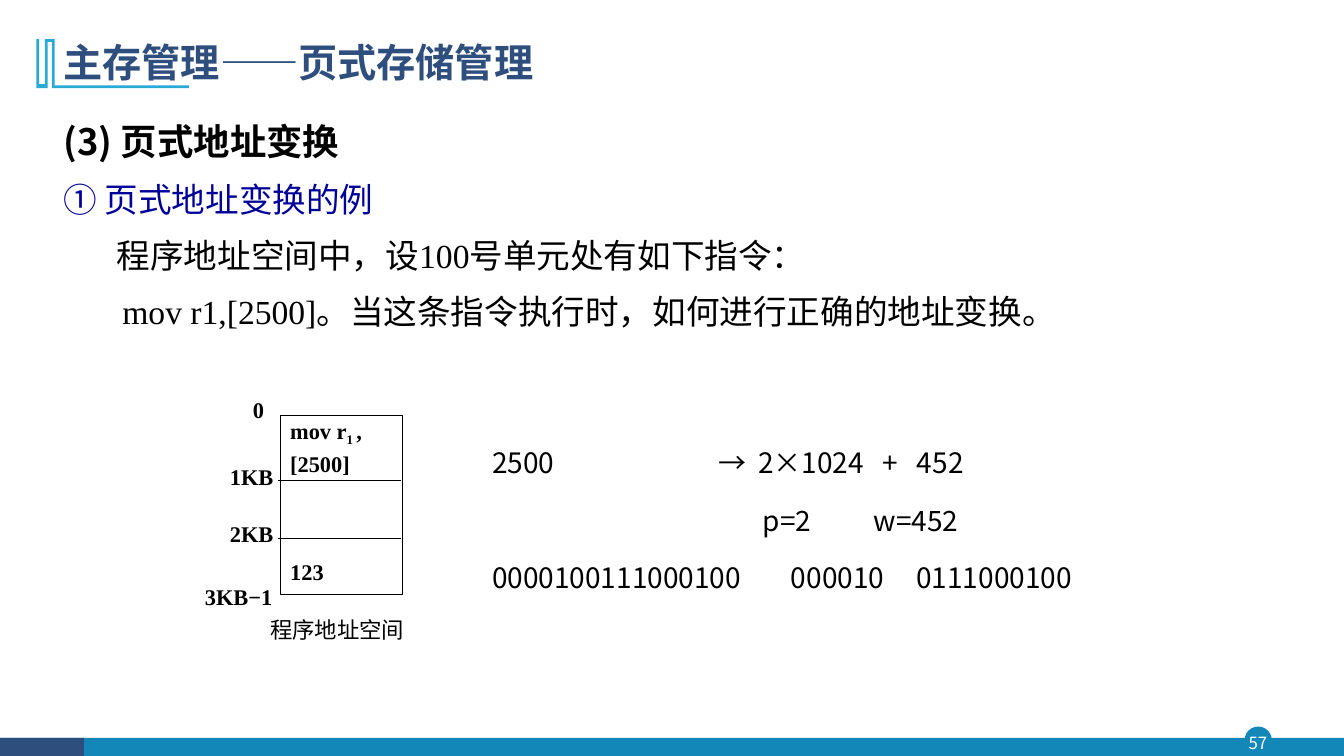
from lxml import etree
from pptx import Presentation
from pptx import util as u
from pptx.dml import color as dml
from pptx.enum import shapes, text
from pptx.oxml import ns

hues = {"sky": "28A9D6", "teal": "1387B7", "navy": "2E4E7E",
        "blue": "000099", "black": "000000", "white": "FFFFFF"}
sans, serif = "Noto Sans CJK SC", "Times New Roman"
pt = u.Pt


def paint(item, fill=None, line=None, width=0.75):
    item.shadow.inherit = False
    for part, hue in ((item.fill, fill), (item.line.fill, line)):
        if hue:
            part.solid()
            part.fore_color.rgb = dml.RGBColor.from_string(hues[hue])
        else:
            part.background()
    if line:
        item.line.width = pt(width)


def write(item, lines, size, pitch, face=serif, hue="black", bold=False):
    frame = item.text_frame
    frame.word_wrap = True
    frame.vertical_anchor = text.MSO_ANCHOR.TOP
    frame.margin_left = frame.margin_right = 0
    frame.margin_top = frame.margin_bottom = 0
    frame.text = "\n".join(lines)
    for para in frame.paragraphs:
        para.alignment = text.PP_ALIGN.LEFT
        para.line_spacing = pt(pitch)
        for run in para.runs:
            run.font.size = pt(size)
            run.font.bold = bold
            run.font.color.rgb = dml.RGBColor.from_string(hues[hue])
            run.font.name = face
            east = etree.SubElement(run._r.get_or_add_rPr(), ns.qn("a:ea"))
            east.set("typeface", sans)
    return frame


deck = Presentation()
deck.slide_width, deck.slide_height = pt(960), pt(540)
slide = deck.slides.add_slide(deck.slide_layouts[6])
tree = slide.shapes

kinds = shapes.MSO_SHAPE
footer = [(kinds.OVAL, 889, 519, 19.5, 19.5, "teal"),
          (kinds.RECTANGLE, 0, 527, 960, 13, "teal"),
          (kinds.RECTANGLE, 0, 527, 60, 13, "navy")]
for kind, x, y, w, h, hue in footer:
    paint(tree.add_shape(kind, pt(x), pt(y), pt(w), pt(h)), hue)
page = write(tree.add_textbox(pt(887), pt(519.7), pt(23), pt(18)),
             ["57"], 12, 18, sans, "white")
page.paragraphs[0].alignment = text.PP_ALIGN.CENTER

edge = [(38.9, 28.1), (38.9, 61.2), (134.8, 61.2), (134.8, 62.6),
        (37.4, 62.6), (37.4, 29.5), (33.8, 29.5), (33.8, 62.6),
        (25.9, 62.6), (25.9, 28.1), (28.1, 28.1), (28.1, 60.5),
        (31.7, 60.5), (31.7, 28.1)]
pen = tree.build_freeform(*edge[0], scale=pt(1))
pen.add_line_segments(edge[1:], close=True)
paint(pen.convert_to_shape(), "sky")

write(tree.add_textbox(pt(45.4), pt(21), pt(740), pt(40)),
      ["主存管理——页式存储管理"], 28, 40, sans, "navy", True)

body = write(tree.add_textbox(pt(45.4), pt(76.5), pt(740), pt(160)),
             ["(3) 页式地址变换",
              "① 页式地址变换的例",
              "程序地址空间中，设100号单元处有如下指令：",
              "mov r1,[2500]。当这条指令执行时，如何进行正确的地址变换。"],
             24, 40)
head, topic, setup, task = body.paragraphs
head.runs[0].font.size = pt(26)
head.runs[0].font.bold = True
head.runs[0].font.name = sans
topic.runs[0].font.color.rgb = dml.RGBColor.from_string(hues["blue"])
for para, dent in ((setup, 38), (task, 42)):
    para._p.get_or_add_pPr().set("marL", str(pt(dent)))

sums = write(tree.add_textbox(pt(351.5), pt(301), pt(560), pt(124)),
             ["2500\t→\t2×1024\t+\t452",
              "\tp=2\tw=452",
              "0000100111000100\t000010\t0111000100"], 20, 41.2, sans)
stops = [(162, 190, 279, 303.5), (193.5, 272.5), (213.5, 303)]
for para, spots in zip(sums.paragraphs, stops):
    tabs = etree.SubElement(para._p.get_or_add_pPr(), ns.qn("a:tabLst"))
    for spot in spots:
        etree.SubElement(tabs, ns.qn("a:tab"), pos=str(pt(spot)), algn="l")

space = tree.add_shape(kinds.RECTANGLE, pt(200.2), pt(297), pt(87), pt(128))
paint(space, line="black")
cells = write(space, ["mov r", "[2500]", "123"], 16, 21.5, bold=True)
cells.margin_left, cells.margin_top = pt(7.2), pt(1)
code, ref, value = cells.paragraphs
value.space_before = pt(55.5)
for bit, base in (("1 ", "-25000"), (",", "0")):
    run = code.add_run()
    run.text = bit
    run.font.size = pt(16)
    run.font.bold = True
    run.font.name = serif
    run.font.color.rgb = dml.RGBColor.from_string(hues["black"])
    run._r.get_or_add_rPr().set("baseline", base)

for y in (343.4, 384.4):
    rule = tree.add_connector(shapes.MSO_CONNECTOR.STRAIGHT,
                              pt(198.7), pt(y), pt(286.6), pt(y))
    rule.line.width = pt(0.75)
    rule.line.color.rgb = dml.RGBColor.from_string(hues["black"])
    etree.SubElement(rule._element.spPr, ns.qn("a:effectLst"))

marks = [("0", 180.7, 280.5), ("1KB", 164.3, 328.5),
         ("2KB", 164.3, 369.5), ("3KB−1", 146.4, 414)]
for mark, x, y in marks:
    write(tree.add_textbox(pt(x), pt(y), pt(52), pt(21.5)),
          [mark], 16, 21.5, bold=True)
write(tree.add_textbox(pt(193), pt(436), pt(110), pt(23)),
      ["程序地址空间"], 16, 23)

deck.save("out.pptx")
